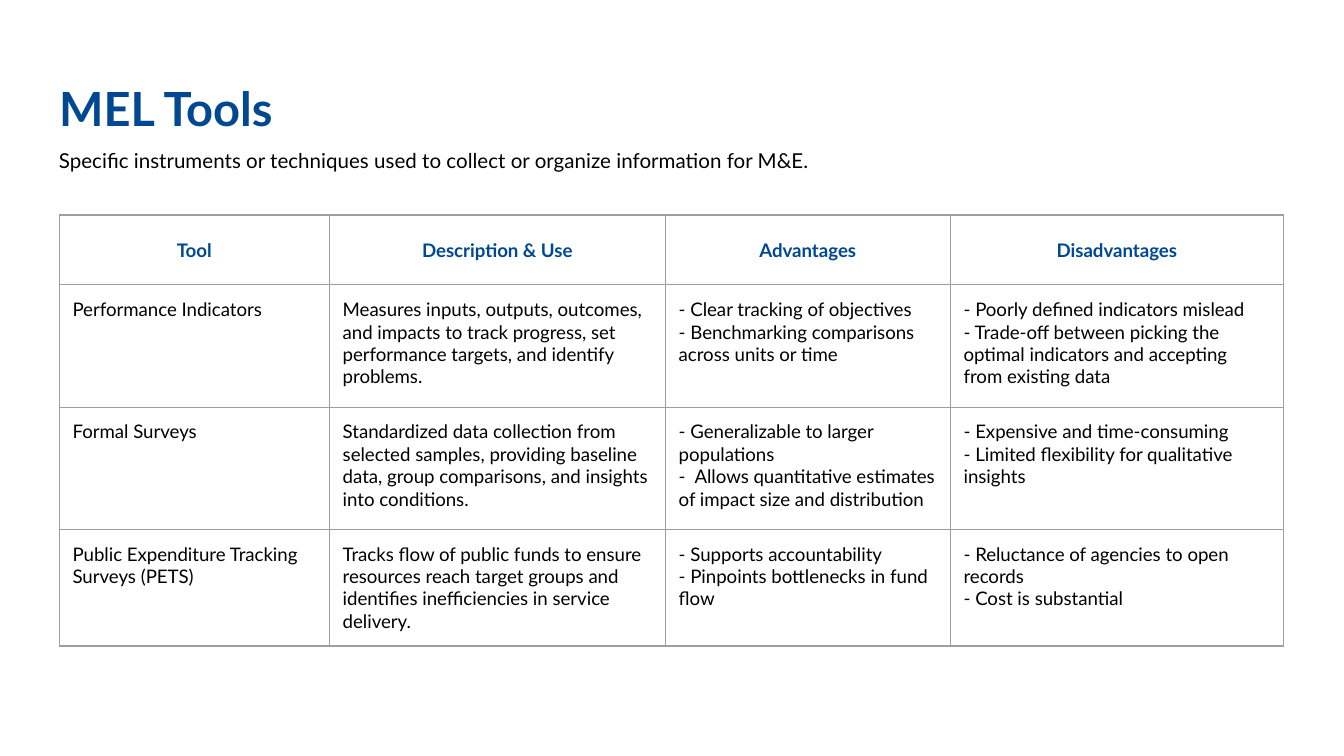
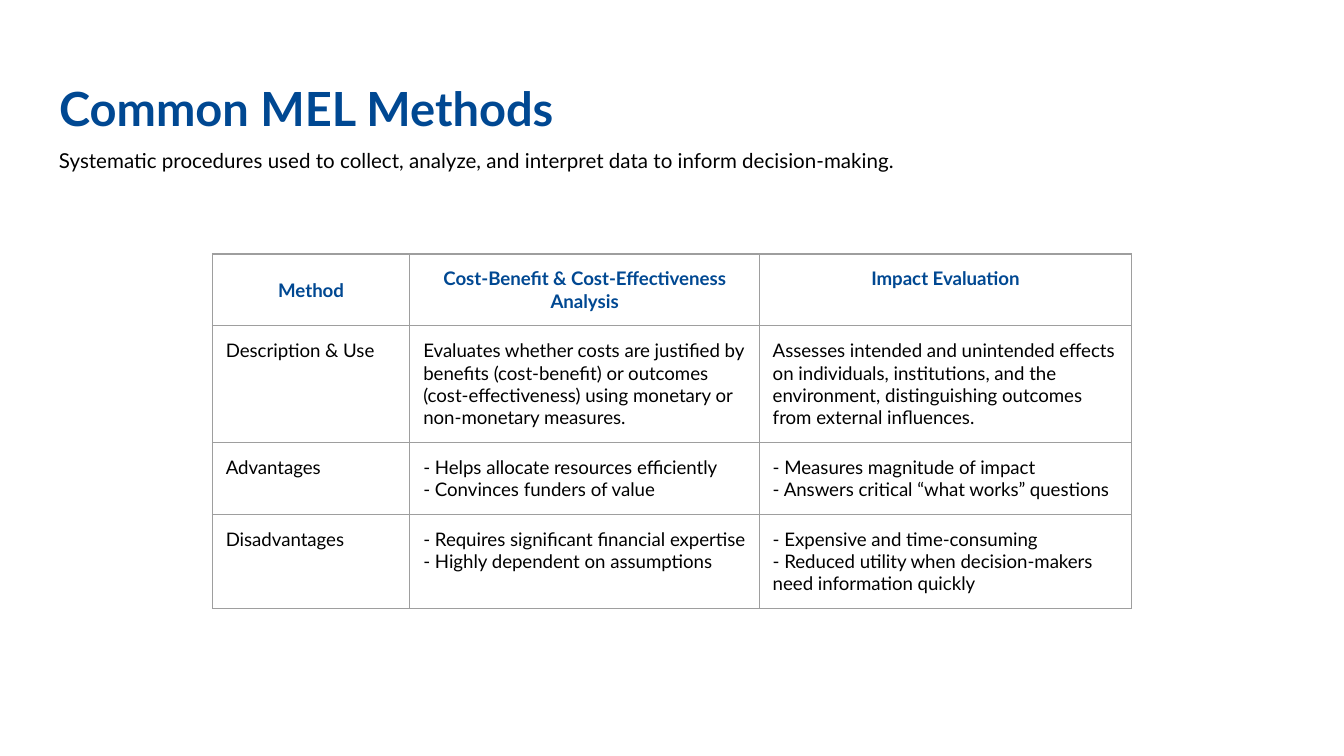
from dataclasses import dataclass

from lxml.etree import SubElement
from pptx import Presentation
from pptx.dml.color import RGBColor
from pptx.enum.text import MSO_ANCHOR, MSO_AUTO_SIZE, PP_ALIGN
from pptx.oxml.ns import qn
from pptx.util import Inches, Pt


@dataclass(frozen=True)
class Theme:
    font: str = "Lato"
    heading: str = "004892"
    body: str = "000000"
    border: str = "9E9E9E"
    border_width: float = 0.75
    title_size: float = 25.2
    subtitle_size: float = 11
    table_size: float = 10


GRID_COLUMNS = 100
MARGIN = 1  # grid units inside every text area
TITLE_AREA = (3.4, 4.9, 93.2, 6.3)
SUBTITLE_AREA = (3.4, 10.1, 84.9, 3.9)


def write(frame, text, *, font, size, color, bold=False, align=PP_ALIGN.LEFT):
    """Fill a text frame, one paragraph for each line of text."""
    for index, line in enumerate(text.split("\n")):
        para = frame.add_paragraph() if index else frame.paragraphs[0]
        para.alignment = align
        span = para.add_run()
        span.text = line
        span.font.name = font
        span.font.size = Pt(size)
        span.font.bold = bold
        span.font.color.rgb = RGBColor.from_string(color)


def draw_borders(cell, color, width):
    properties = cell._tc.get_or_add_tcPr()
    for side in ("a:lnL", "a:lnR", "a:lnT", "a:lnB"):
        line = SubElement(properties, qn(side), w=str(Pt(width)))
        fill = SubElement(line, qn("a:solidFill"))
        SubElement(fill, qn("a:srgbClr"), val=color)


class SlideBuilder:
    def __init__(self, deck, theme):
        self.deck = deck
        self.theme = theme
        self.unit = deck.slide_width / GRID_COLUMNS
        self.slide = None

    def length(self, units):
        return round(units * self.unit)

    def set_margins(self, target):
        for side in ("left", "top", "right", "bottom"):
            setattr(target, f"margin_{side}", self.length(MARGIN))

    def add_slide(self, title, subtitle):
        title_only = self.deck.slide_layouts[5]
        self.slide = self.deck.slides.add_slide(title_only)
        self.title(title)
        self.subtitle(subtitle)

    def title(self, text):
        box = self.slide.shapes.title
        box.left, box.top, box.width, box.height = map(self.length, TITLE_AREA)
        self.text(box.text_frame, text, MSO_AUTO_SIZE.NONE, bold=True,
                  size=self.theme.title_size, color=self.theme.heading)

    def subtitle(self, text):
        box = self.slide.shapes.add_textbox(*map(self.length, SUBTITLE_AREA))
        self.text(box.text_frame, text, MSO_AUTO_SIZE.SHAPE_TO_FIT_TEXT,
                  size=self.theme.subtitle_size, color=self.theme.body)

    def text(self, frame, text, auto_size, **style):
        self.set_margins(frame)
        frame.word_wrap = True
        frame.auto_size = auto_size
        frame.vertical_anchor = MSO_ANCHOR.TOP
        write(frame, text, font=self.theme.font, **style)

    def table(self, left, top, columns, rows, content):
        """Draw a bordered grid whose first row holds the headings."""
        table = self.slide.shapes.add_table(
            len(rows), len(columns), self.length(left), self.length(top),
            self.length(sum(columns)), self.length(sum(rows))).table
        table.first_row = table.horz_banding = False
        for column, width in zip(table.columns, columns):
            column.width = self.length(width)
        for row, height, texts in zip(table.rows, rows, content):
            row.height = self.length(height)
            for cell, text in zip(row.cells, texts):
                self.cell(cell, text, heading=texts is content[0])
        return table

    def cell(self, cell, text, heading):
        theme = self.theme
        self.set_margins(cell)
        cell.vertical_anchor = MSO_ANCHOR.MIDDLE if heading else MSO_ANCHOR.TOP
        draw_borders(cell, theme.border, theme.border_width)
        cell.fill.background()
        write(cell.text_frame, text, font=theme.font, size=theme.table_size,
              color=theme.heading if heading else theme.body, bold=heading,
              align=PP_ALIGN.CENTER if heading else PP_ALIGN.LEFT)


TOOLS = [
    ("Tool", "Description & Use", "Advantages", "Disadvantages"),
    ("Performance Indicators",
     "Measures inputs, outputs, outcomes, and impacts to track progress, "
     "set performance targets, and identify problems.",
     "- Clear tracking of objectives\n"
     "- Benchmarking comparisons across units or time",
     "- Poorly defined indicators mislead\n"
     "- Trade-off between picking the optimal indicators and accepting "
     "from existing data"),
    ("Formal Surveys",
     "Standardized data collection from selected samples, providing baseline "
     "data, group comparisons, and insights into conditions.",
     "- Generalizable to larger populations\n"
     "-  Allows quantitative estimates of impact size and distribution",
     "- Expensive and time-consuming\n"
     "- Limited flexibility for qualitative insights"),
    ("Public Expenditure Tracking Surveys (PETS)",
     "Tracks flow of public funds to ensure resources reach target groups "
     "and identifies inefficiencies in service delivery.",
     "- Supports accountability\n- Pinpoints bottlenecks in fund flow",
     "- Reluctance of agencies to open records\n- Cost is substantial"),
]

METHODS = [
    ("Method", "Cost-Benefit & Cost-Effectiveness Analysis",
     "Impact Evaluation"),
    ("Description & Use",
     "Evaluates whether costs are justified by benefits (cost-benefit) or "
     "outcomes (cost-effectiveness) using monetary or non-monetary measures.",
     "Assesses intended and unintended effects on individuals, institutions, "
     "and the environment, distinguishing outcomes from external influences."),
    ("Advantages",
     "- Helps allocate resources efficiently\n- Convinces funders of value",
     "- Measures magnitude of impact\n"
     "- Answers critical “what works” questions"),
    ("Disadvantages",
     "- Requires significant financial expertise\n"
     "- Highly dependent on assumptions",
     "- Expensive and time-consuming\n"
     "- Reduced utility when decision-makers need information quickly"),
]


def main():
    deck = Presentation()
    deck.slide_width = Inches(10)
    deck.slide_height = deck.slide_width * 9 // 16
    builder = SlideBuilder(deck, Theme())

    builder.add_slide(
        "MEL Tools",
        "Specific instruments or techniques used to collect or organize "
        "information for M&E.")
    builder.table(4.4, 16, columns=(20.1, 25, 21.2, 24.8),
                  rows=(5.2, 9.1, 9.1, 5), content=TOOLS)

    builder.add_slide(
        "Common MEL Methods",
        "Systematic procedures used to collect, analyze, and interpret data "
        "to inform decision-making.")
    methods = builder.table(15.8, 18.9, columns=(14.7, 26, 27.7),
                            rows=(5.2, 7, 5, 5), content=METHODS)
    # Level with the first line of the two-line heading beside it
    methods.cell(0, 2).vertical_anchor = MSO_ANCHOR.TOP

    deck.save("out.pptx")


if __name__ == "__main__":
    main()
